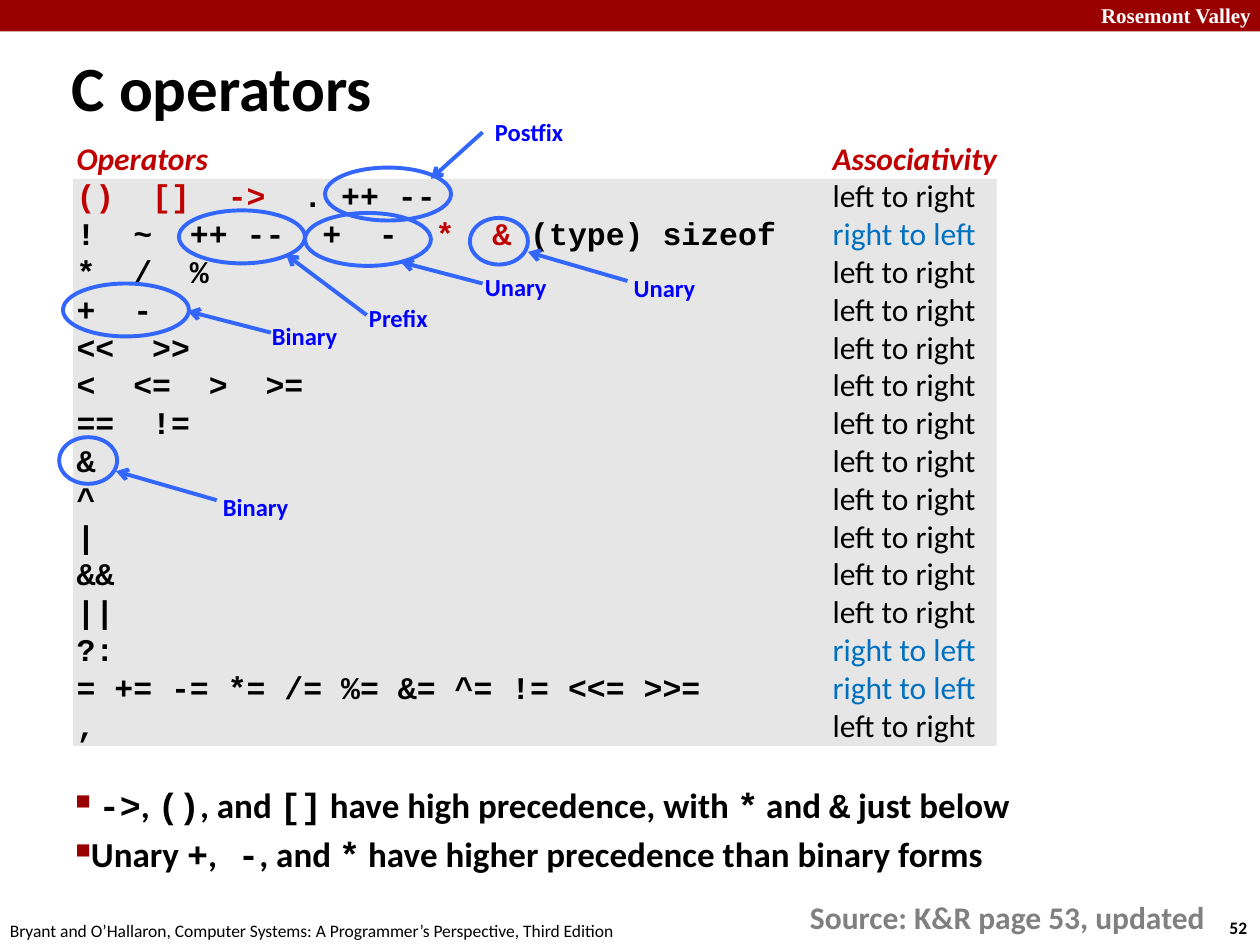
from lxml import etree
from pptx import Presentation
from pptx.dml.color import RGBColor
from pptx.enum import shapes, text
from pptx.oxml.ns import qn
from pptx.util import Inches, Pt

SANS, MONO = "Calibri", "Courier New"
BLACK, RED, BLUE = "000000", "C00000", "0070C0"
INK, LABEL = "3366FF", "0000FF"
LEFT, RIGHT = "left to right", "right to left"

OPERATORS = [
    (["", "()  []  ->", "  . ++ --"], LEFT),
    (["!  ~  ++ --  +  -  ", "*  &", " (type) sizeof"], RIGHT),
    (["*  /  %"], LEFT),
    (["+  -"], LEFT),
    (["<<  >>"], LEFT),
    (["<  <=  >  >="], LEFT),
    (["==  !="], LEFT),
    (["&"], LEFT),
    (["^"], LEFT),
    (["|"], LEFT),
    (["&&"], LEFT),
    (["||"], LEFT),
    (["?:"], RIGHT),
    (["= += -= *= /= %= &= ^= != <<= >>="], RIGHT),
    ([","], LEFT),
]
NOTES = [
    [" ", "->", ", ", "()", ", and ", "[]", " have high precedence, with ",
     "*", " and ", "&", " just below"],
    ["Unary ", "+", ",", " -", ", and ", "*",
     " have higher precedence than binary forms"],
]
RINGS = [
    (2.08, -0.09, 1, 0.42), (0.92, 0.25, 1, 0.42), (1.92, 0.27, 1, 0.42),
    (0, 0.83, 1, 0.42), (3.23, 0.31, 0.46, 0.37), (-0.03, 2.05, 0.46, 0.37),
]
CALLOUTS = [
    ("Postfix", (3.33, -0.54, 0.76), (3.33, -0.37), (2.92, 0)),
    ("Unary", (3.25, 0.69, 0.71), (3.33, 0.83), (2.68, 0.66)),
    ("Binary", (1.56, 1.08, 0.73), (1.65, 1.22), (0.99, 1.05)),
    ("Prefix", (2.33, 0.94, 0.68), (2.41, 1.08), (1.77, 0.6)),
    ("Unary", (4.43, 0.7, 0.82), (4.48, 0.81), (3.69, 0.58)),
    ("Binary", (1.17, 2.44, 0.82), (1.22, 2.55), (0.42, 2.32)),
]


def rgb(value):
    return RGBColor.from_string(value)


def inches(box):
    return [Inches(n) for n in box]


def sub(parent, tag, **attrs):
    return etree.SubElement(parent, qn(tag), attrs)


def add_run(p, content, size, color=BLACK, font=SANS, bold=False, italic=False):
    r = p.add_run()
    r.text = content
    r.font.size, r.font.name = Pt(size), font
    r.font.bold, r.font.italic = bold, italic
    r.font.color.rgb = rgb(color)


def add_frame(s, box, wrap=False):
    tf = s.shapes.add_textbox(*inches(box)).text_frame
    tf.word_wrap = wrap
    return tf


def add_label(s, box, content, size, color=BLACK, font=SANS, bold=True):
    tf = add_frame(s, box)
    add_run(tf.paragraphs[0], content, size, color, font, bold)
    return tf


def add_panel(s, box, color):
    sp = s.shapes.add_shape(shapes.MSO_SHAPE.RECTANGLE, *inches(box))
    sp.shadow.inherit = False
    sp.fill.solid()
    sp.fill.fore_color.rgb = rgb(color)
    sp.line.fill.background()


def paragraphs(tf, items):
    for i, item in enumerate(items):
        yield (tf.add_paragraph() if i else tf.paragraphs[0]), item


def add_page_furniture(s, box):
    x, y, w, h = box
    add_panel(s, (x, y, w, 0.25), "990000")
    add_label(s, (x + w - 1.36, y - 0.03, 1.43, 0.3), "Rosemont Valley", 12,
              "FFFFFF", "Times New Roman")
    add_label(s, (x + w - 0.34, y + h - 0.27, 0.37, 0.27), "52", 10)
    add_label(s, (x - 0.02, y + h - 0.25, 5.08, 0.27),
              "Bryant and O’Hallaron, Computer Systems: "
              "A Programmer’s Perspective, Third Edition", 10, bold=False)
    add_label(s, (x + 6.33, y + h - 0.42, 3.38, 0.4),
              "Source: K&R page 53, updated", 18, "808080")


def add_title(s, box):
    tf = add_label(s, box, "C operators", 36)
    tf.word_wrap = True
    tf.vertical_anchor = text.MSO_ANCHOR.MIDDLE


def add_operators(s, box):
    x, y, w, h = box
    add_panel(s, (x + 0.07, y + 0.37, 7.33, 4.5), "E6E6E6")
    tf = add_frame(s, box, wrap=True)
    for p, row in paragraphs(tf, [None] + OPERATORS):
        tabs = sub(p._p.get_or_add_pPr(), "a:tabLst")
        sub(tabs, "a:tab", pos=str(Inches(6)), algn="l")
        if row is None:
            add_run(p, "Operators\tAssociativity", 18, RED, bold=True, italic=True)
            continue
        parts, direction = row
        for i, part in enumerate(parts):
            if part:
                add_run(p, part, 18, RED if i % 2 else BLACK, MONO, True)
        add_run(p, "\t" + direction, 18, BLUE if direction == RIGHT else BLACK)


def add_notes(s, box):
    tf = add_frame(s, box, wrap=True)
    for p, parts in paragraphs(tf, NOTES):
        pPr = p._p.get_or_add_pPr()
        pPr.set("marL", str(Inches(0.07)))
        pPr.set("indent", str(Inches(-0.26)))
        sub(sub(pPr, "a:spcBef"), "a:spcPct", val="20000")
        sub(sub(pPr, "a:buClr"), "a:srgbClr", val="990000")
        sub(pPr, "a:buSzPct", val="60000")
        sub(pPr, "a:buChar", char="■")
        for i, part in enumerate(parts):
            add_run(p, part, 20, font=MONO if i % 2 else SANS, bold=True)


def style_line(line):
    line.color.rgb = rgb(INK)
    line.width = Pt(2.25)


def add_annotations(s, box):
    x, y = box[:2]
    for dx, dy, w, h in RINGS:
        sp = s.shapes.add_shape(shapes.MSO_SHAPE.OVAL, *inches((x + dx, y + dy, w, h)))
        sp.shadow.inherit = False
        sp.fill.background()
        style_line(sp.line)
    for name, (dx, dy, w), start, end in CALLOUTS:
        add_label(s, (x + dx, y + dy, w, 0.34), name, 14, LABEL)
        ends = (x + start[0], y + start[1], x + end[0], y + end[1])
        arrow = s.shapes.add_connector(shapes.MSO_CONNECTOR.STRAIGHT, *inches(ends))
        style_line(arrow.line)
        sub(arrow.line._get_or_add_ln(), "a:tailEnd", type="arrow")
        sub(arrow._element.spPr, "a:effectLst")


def main():
    prs = Presentation()
    prs.slide_width, prs.slide_height = Inches(10), Inches(7.5)
    s = prs.slides.add_slide(prs.slide_layouts[6])
    add_page_furniture(s, (0, 0, 10, 7.5))
    add_title(s, (0.47, 0.37, 5.56, 0.63))
    add_operators(s, (0.51, 1.05, 7.57, 4.95))
    add_notes(s, (0.5, 6.17, 7.83, 1.25))
    add_annotations(s, (0.5, 1.42, 7.33, 4.5))
    prs.save("out.pptx")


if __name__ == "__main__":
    main()
